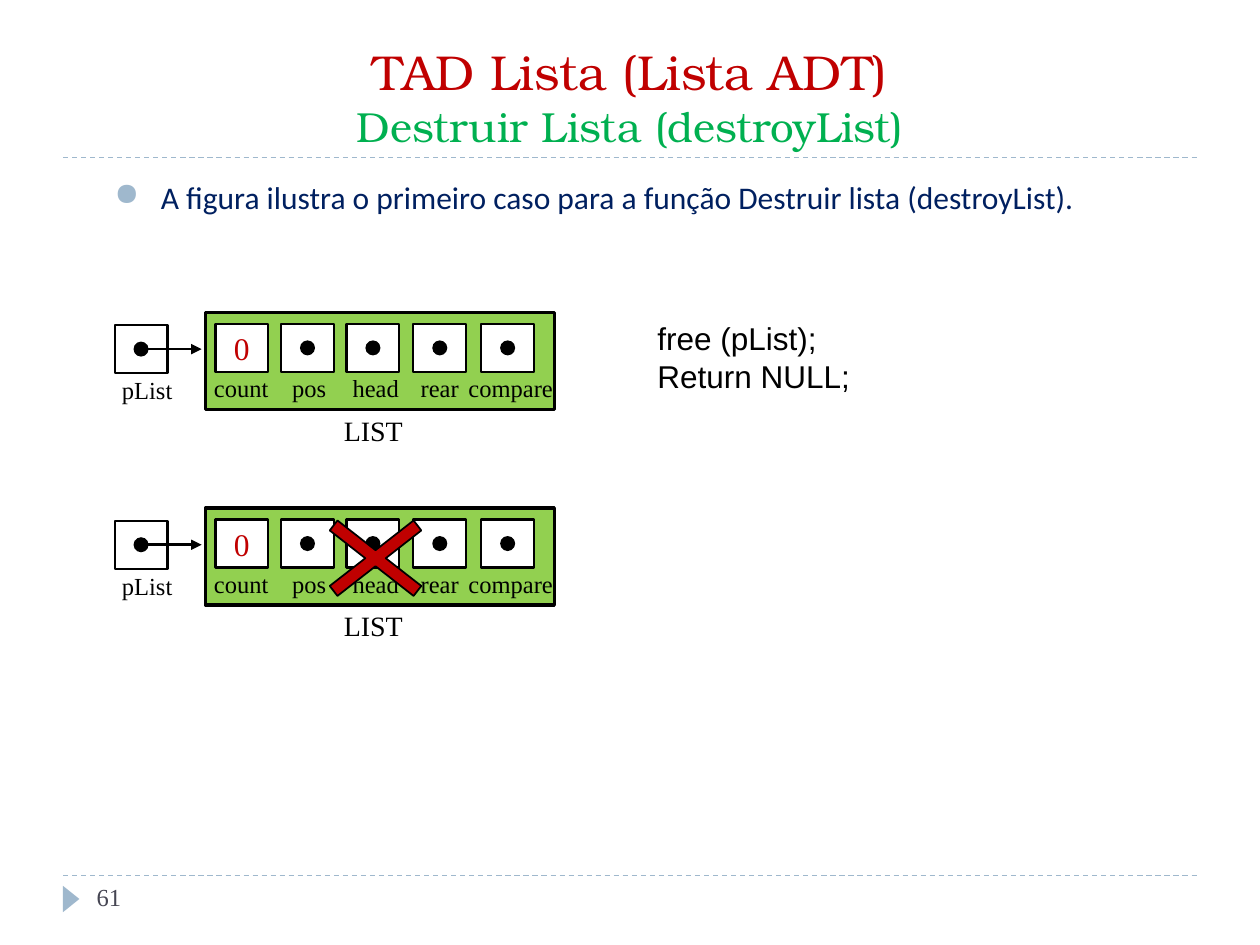
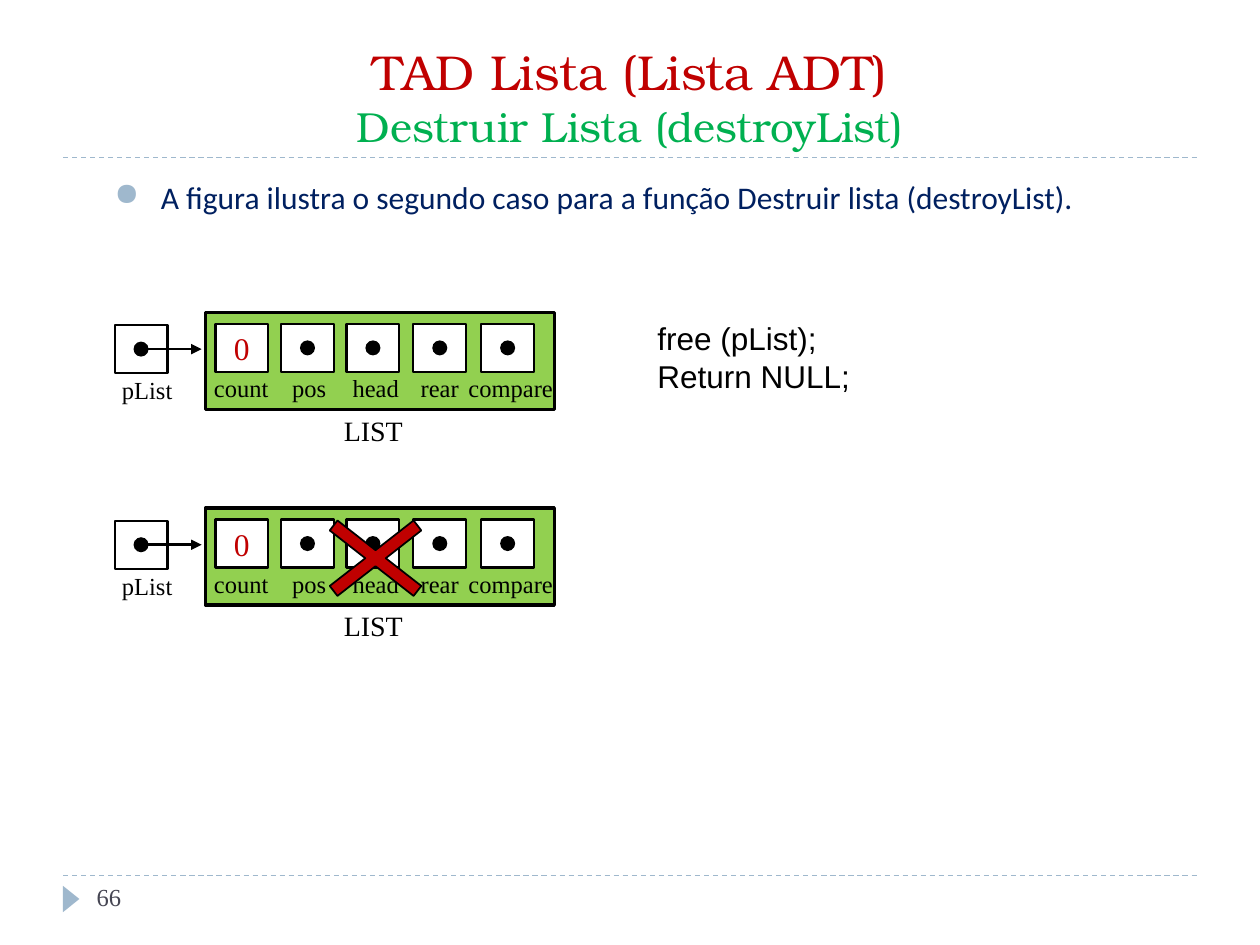
from lxml import etree
from pptx import Presentation
from pptx import util as u
from pptx.dml.color import RGBColor
from pptx.enum import dml, shapes, text
from pptx.oxml import ns

COLORS = {
    "ink": "000000",
    "paper": "FFFFFF",
    "accent": "9FB8CD",
    "red": "C00000",
    "green": "00B050",
    "panel": "92D050",
    "navy": "002060",
    "number": "464653",
}
SERIF = "Times New Roman"
TITLE_FONT = "TeX Gyre Bonum"
RECT = shapes.MSO_SHAPE.RECTANGLE
OVAL = shapes.MSO_SHAPE.OVAL

CELL_SIZE = (30.2, 27.4)
DOT = 8.6
FIELDS = [
    ("count", 123.1, 115.2, 46.1),
    ("pos", 160.6, 159.8, 34.6),
    ("head", 198, 194.4, 41),
    ("rear", 236.2, 233.3, 36.7),
    ("compare", 275, 260.6, 63.4),
]
BEFORE_TOP = 178.6
AFTER_TOP = 290.4
CASES = [
    ("61", "A figura ilustra o primeiro caso para a função Destruir lista (destroyList)."),
    ("66", "A figura ilustra o segundo caso para a função Destruir lista (destroyList)."),
]


def rgb(color):
    return RGBColor.from_string(COLORS[color])


def pts(*lengths):
    return [u.Pt(length) for length in lengths]


def apply_format(target, values):
    for key, value in values.items():
        setattr(target, key, value)


def add_run(paragraph, words, size, font, color):
    run = paragraph.add_run()
    run.text = words
    apply_format(run.font, {"size": u.Pt(size), "name": font, "bold": False})
    run.font.color.rgb = rgb(color)


def add_text(parent, box, lines, size, font=SERIF, color="ink", wrap=False):
    frame = parent.shapes.add_textbox(*pts(*box)).text_frame
    fit = text.MSO_AUTO_SIZE.NONE if wrap else text.MSO_AUTO_SIZE.SHAPE_TO_FIT_TEXT
    apply_format(frame, {"word_wrap": wrap, "auto_size": fit})
    for index, line in enumerate(lines):
        paragraph = frame.add_paragraph() if index else frame.paragraphs[0]
        add_run(paragraph, line, size, font, color)
    return frame


def add_solid(parent, kind, box, fill, line_width=0):
    solid = parent.shapes.add_shape(kind, *pts(*box))
    solid.shadow.inherit = False
    solid.fill.solid()
    solid.fill.fore_color.rgb = rgb(fill)
    if line_width:
        solid.line.color.rgb = rgb("ink")
        solid.line.width = u.Pt(line_width)
    else:
        solid.line.fill.background()
    return solid


def add_line(parent, start, end, color, width):
    line = parent.shapes.add_connector(
        shapes.MSO_CONNECTOR.STRAIGHT, *pts(*start, *end))
    line.line.color.rgb = rgb(color)
    line.line.width = u.Pt(width)
    etree.SubElement(line.element.spPr, ns.qn("a:effectLst"))
    return line


def add_frame_to_layout(slide):
    rules = [add_line(slide, (36, y), (684, y), "accent", 0.75) for y in (90, 500.4)]
    for rule in rules:
        rule.line.dash_style = dml.MSO_LINE.DASH
    marker = add_solid(slide, shapes.MSO_SHAPE.ISOSCELES_TRIANGLE,
                       (33.1, 509, 15.1, 9.4), "accent")
    marker.rotation = 90
    for part in (*rules, marker):
        slide.slide_layout.shapes.element.append(part.element)


def set_title(slide):
    title = slide.shapes.title
    apply_format(title, dict(zip(("left", "top", "width", "height"),
                                 pts(36, 18, 648, 72))))
    frame = title.text_frame
    apply_format(frame, {"word_wrap": True, "auto_size": text.MSO_AUTO_SIZE.NONE,
                         "vertical_anchor": text.MSO_ANCHOR.BOTTOM})
    heading = frame.paragraphs[0]
    heading.alignment = text.PP_ALIGN.CENTER
    add_run(heading, "TAD Lista (Lista ADT)", 28, TITLE_FONT, "red")
    heading.add_line_break()
    add_run(heading, "Destruir Lista (destroyList)", 24, TITLE_FONT, "green")


def add_bullet(slide, sentence):
    frame = add_text(slide, (58.3, 97.9, 612, 35.3), [sentence], 18, "Calibri", "navy", True)
    paragraph = frame.paragraphs[0]
    paragraph.alignment = text.PP_ALIGN.JUSTIFY
    properties = paragraph._p.get_or_add_pPr()
    indent = u.Pt(26.6)
    properties.set("marL", str(indent))
    properties.set("indent", str(-indent))
    bullet_color = etree.SubElement(properties, ns.qn("a:buClr"))
    etree.SubElement(bullet_color, ns.qn("a:srgbClr"), val=COLORS["accent"])
    etree.SubElement(properties, ns.qn("a:buChar"), char="●")


def add_cell(parent, left, top):
    return add_solid(parent, RECT, (left, top, *CELL_SIZE), "paper", 1.25)


def add_dot(parent, cell_left, cell_top):
    left = cell_left + (CELL_SIZE[0] - DOT) / 2
    top = cell_top + (CELL_SIZE[1] - DOT) / 2
    add_solid(parent, OVAL, (left, top, DOT, DOT), "ink")


def add_list_diagram(slide, top):
    diagram = slide.shapes.add_group_shape()
    pointer_left, pointer_top = 65.5, top + 7.2
    arrow_y = pointer_top + CELL_SIZE[1] / 2
    add_cell(diagram, pointer_left, pointer_top)
    add_text(diagram, (62.6, top + 32.2, 43.9, 24.5), ["pList"], 14)
    add_solid(diagram, RECT, (117.4, top, 199.4, 55.4), "panel", 2)
    add_text(diagram, (189.4, top + 54, 49, 26.6), ["LIST"], 16)
    arrow = add_line(diagram, (80.6, arrow_y), (115.2, arrow_y), "ink", 1.5)
    etree.SubElement(arrow.line._get_or_add_ln(), ns.qn("a:tailEnd"), type="triangle")
    add_dot(diagram, pointer_left, pointer_top)

    cell_top = top + 6.5
    for name, cell_left, label_left, label_width in FIELDS:
        cell = add_cell(diagram, cell_left, cell_top)
        if name == "count":
            count = cell.text_frame.paragraphs[0]
            count.alignment = text.PP_ALIGN.CENTER
            cell.text_frame.vertical_anchor = text.MSO_ANCHOR.MIDDLE
            add_run(count, "0", 18, SERIF, "red")
        else:
            add_dot(diagram, cell_left, cell_top)
        add_text(diagram, (label_left, top + 31, label_width, 24.5), [name], 14)


def add_destroyed_mark(slide):
    cross = add_solid(slide, shapes.MSO_SHAPE.MATH_MULTIPLY,
                      (168.5, 283, 92.2, 72), "red", 1)
    cross.adjustments[0] = 0.1


def add_case_slide(deck, layout, number, sentence):
    slide = deck.slides.add_slide(layout)
    set_title(slide)
    add_text(slide, (48.2, 500.4, 156.2, 28.8), [number], 14, color="number", wrap=True)
    add_bullet(slide, sentence)
    add_text(slide, (368.6, 178.6, 125.3, 51.1),
             ["free (pList);", "Return NULL;"], 18, "Arial")
    for top in (BEFORE_TOP, AFTER_TOP):
        add_list_diagram(slide, top)
    add_destroyed_mark(slide)
    return slide


def main():
    deck = Presentation()
    apply_format(deck, {"slide_width": u.Pt(720), "slide_height": u.Pt(540)})
    layout = deck.slide_layouts.get_by_name("Title Only")
    case_slides = [add_case_slide(deck, layout, *case) for case in CASES]
    add_frame_to_layout(case_slides[0])
    deck.save("out.pptx")


if __name__ == "__main__":
    main()
